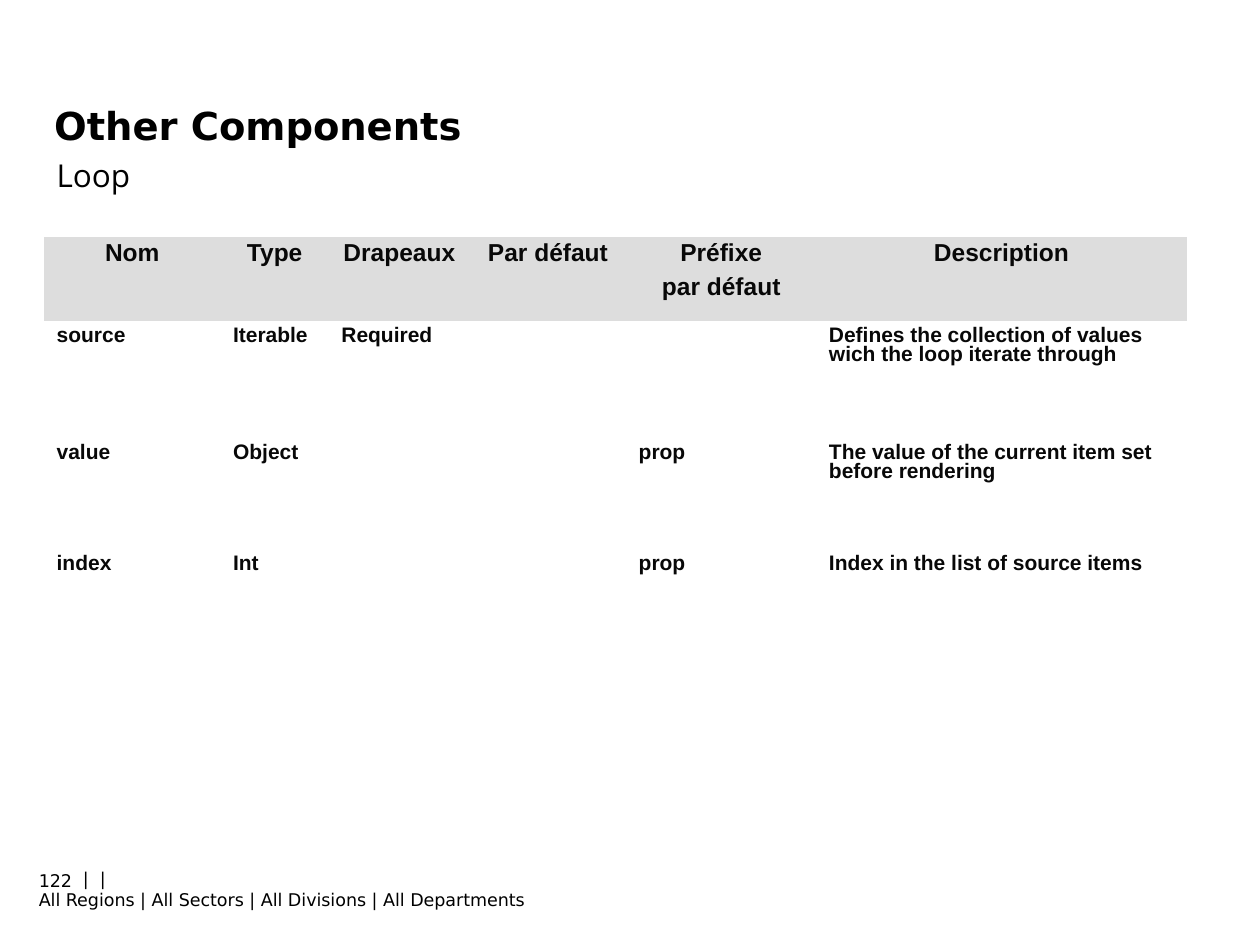
from pptx import Presentation
from pptx.dml.color import RGBColor
from pptx.enum.text import MSO_ANCHOR as Anchor, MSO_AUTO_SIZE as AutoSize, PP_ALIGN as Align
from pptx.util import Inches, Pt

BLACK = RGBColor(0x00, 0x00, 0x00)
INK = RGBColor(0x08, 0x08, 0x08)
GRAY = RGBColor(0xDD, 0xDD, 0xDD)
NO_TABLE_STYLE = "{2D5ABB26-0587-4C30-8999-92F81FD0307C}"

COLUMN_WIDTHS = [1.4, 0.86, 1.12, 1.24, 1.51, 2.94]
ROW_HEIGHTS = [0.67, 0.93, 0.88, 1.35]
ATTRIBUTES = [
    ["Nom", "Type", "Drapeaux", "Par défaut", "Préfixe\npar défaut", "Description"],
    ["source", "Iterable", "Required", "", "",
     "Defines the collection of values wich the loop iterate through"],
    ["value", "Object", "", "", "prop", "The value of the current item set before rendering"],
    ["index", "Int", "", "", "prop", "Index in the list of source items"],
]


class SlideBuilder:
    heading_font = "DejaVu Sans"
    subtitle_font = "Open Sans"
    table_font = "Arial"

    def __init__(self, page):
        self.page = page

    def style(self, paragraph, name, size, color, bold=False):
        font = paragraph.font
        font.name, font.size, font.bold = name, Pt(size), bold
        font.color.rgb = color

    def place(self, box, left, top, width, height):
        box.left, box.top = Inches(left), Inches(top)
        box.width, box.height = Inches(width), Inches(height)

    def title(self, text, area):
        box = self.page.shapes.title
        self.place(box, *area)
        frame = box.text_frame
        frame.text = text
        frame.auto_size = AutoSize.NONE
        frame.vertical_anchor = Anchor.MIDDLE
        paragraph = frame.paragraphs[0]
        paragraph.alignment = Align.LEFT
        self.style(paragraph, self.heading_font, 22, BLACK, bold=True)

    def text(self, text, area, name, size, anchor=Anchor.TOP):
        box = self.page.shapes.add_textbox(*map(Inches, area))
        frame = box.text_frame
        frame.word_wrap = True
        frame.vertical_anchor = anchor
        frame.text = text
        for paragraph in frame.paragraphs:
            self.style(paragraph, name, size, BLACK)
        return frame

    def table(self, rows, left, top, widths, heights):
        frame = self.page.shapes.add_table(
            len(rows), len(widths), Inches(left), Inches(top),
            Inches(sum(widths)), Inches(sum(heights)))
        table = frame.table
        table.first_row = table.horz_banding = False
        table._tbl.tblPr[0].text = NO_TABLE_STYLE
        for column, width in zip(table.columns, widths):
            column.width = Inches(width)
        for row, height, texts in zip(table.rows, heights, rows):
            row.height = Inches(height)
            for cell, text in zip(row.cells, texts):
                self.cell(cell, text, header=texts is rows[0])

    def cell(self, cell, text, header):
        if header:
            cell.fill.solid()
            cell.fill.fore_color.rgb = GRAY
        else:
            cell.fill.background()
        cell.text = text
        for paragraph in cell.text_frame.paragraphs:
            paragraph.alignment = Align.CENTER if header else Align.LEFT
            paragraph.line_spacing = 0.81
            paragraph.space_before = paragraph.space_after = Pt(3.5 if header else 3)
            self.style(paragraph, self.table_font, 14 if header else 12, INK, bold=True)


def main():
    deck = Presentation()
    deck.slide_width, deck.slide_height = Inches(10), Inches(7.5)
    builder = SlideBuilder(deck.slides.add_slide(deck.slide_layouts[5]))

    footer = builder.text(
        "|  |\nAll Regions | All Sectors | All Divisions | All Departments",
        (0.21, 6.84, 6.3, 0.46), builder.heading_font, 10)
    footer.paragraphs[0]._p.get_or_add_pPr().set("indent", str(Inches(0.35)))
    builder.text("122", (0.21, 6.79, 0.7, 0.4), builder.heading_font, 10, Anchor.MIDDLE)

    builder.title("Other Components", (0.33, 0.8, 9.5, 0.39))
    builder.text("Loop", (0.35, 1.19, 5.25, 0.29), builder.subtitle_font, 18)
    builder.table(ATTRIBUTES, 0.35, 1.88, COLUMN_WIDTHS, ROW_HEIGHTS)
    deck.save("out.pptx")


if __name__ == "__main__":
    main()
